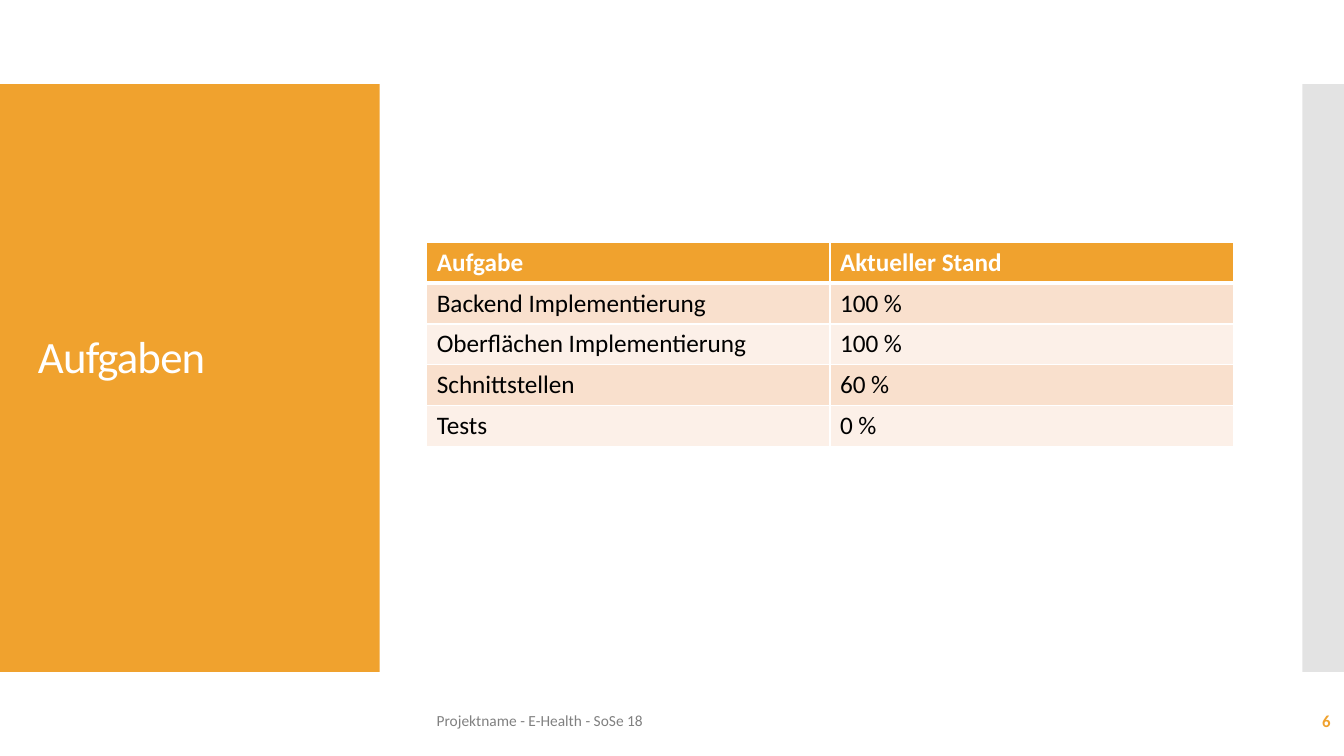
from dataclasses import dataclass
from lxml import etree
from pptx import Presentation
from pptx.dml.color import RGBColor
from pptx.enum.shapes import MSO_SHAPE
from pptx.enum.text import MSO_ANCHOR, PP_ALIGN
from pptx.oxml.ns import qn
from pptx.util import Pt

RECT = MSO_SHAPE.RECTANGLE
MIDDLE, BOTTOM = MSO_ANCHOR.MIDDLE, MSO_ANCHOR.BOTTOM
LEFT, RIGHT = PP_ALIGN.LEFT, PP_ALIGN.RIGHT


@dataclass(frozen=True)
class Theme:
    font: str = "Calibri"
    accent: str = "F0A22E"
    side: str = "C8C8C8"
    white: str = "FFFFFF"
    black: str = "000000"
    muted: str = "808080"
    bands: tuple = ("F9E0CD", "FCF0E8")
    title: int = 32
    body: int = 18
    number: int = 12
    footer: int = 11
    thin: int = 1
    thick: int = 3


class Page:
    def __init__(self, slide, theme):
        self.slide = slide
        self.theme = theme

    def style(self, para, size, color, bold=False):
        font = para.font
        font.name, font.size, font.bold = self.theme.font, Pt(size), bold
        font.color.rgb = RGBColor.from_string(color)

    def panel(self, box, color, alpha=100):
        shape = self.slide.shapes.add_shape(RECT, *map(Pt, box))
        shape.shadow.inherit = False
        shape.line.fill.background()
        shape.fill.solid()
        shape.fill.fore_color.rgb = RGBColor.from_string(color)
        if alpha < 100:
            tint = next(shape.fill._xPr.iter(qn("a:srgbClr")))
            etree.SubElement(tint, qn("a:alpha"), val=str(alpha * 1000))

    def text(self, box, words, size, color, bold=False, align=LEFT,
             anchor=MIDDLE, leading=1.0, tracking=0):
        frame = self.slide.shapes.add_textbox(*map(Pt, box)).text_frame
        frame.word_wrap = True
        frame.vertical_anchor = anchor
        para = frame.paragraphs[0]
        para.text = words
        para.alignment = align
        para.line_spacing = leading
        self.style(para, size, color, bold)
        if tracking:
            para.runs[0].font._element.set("spc", str(round(tracking * 100)))

    def border(self, cell, top, bottom):
        props = cell._tc.get_or_add_tcPr()
        thin = self.theme.thin
        sides = (("L", thin), ("R", thin), ("T", top), ("B", bottom))
        for place, (side, width) in enumerate(sides):
            line = etree.Element(qn("a:ln" + side), w=str(Pt(width)))
            fill = etree.SubElement(line, qn("a:solidFill"))
            etree.SubElement(fill, qn("a:srgbClr"), val=self.theme.white)
            props.insert(place, line)

    def table(self, box, rows):
        theme = self.theme
        grid = self.slide.shapes.add_table(
            len(rows), len(rows[0]), *map(Pt, box)).table
        grid.horz_banding = False
        for r, row in enumerate(rows):
            head = r == 0
            shade = theme.accent if head else theme.bands[(r - 1) % 2]
            for c, words in enumerate(row):
                cell = grid.cell(r, c)
                cell.text = words
                cell.fill.solid()
                cell.fill.fore_color.rgb = RGBColor.from_string(shade)
                color = theme.white if head else theme.black
                self.style(cell.text_frame.paragraphs[0], theme.body, color, head)
                self.border(cell, theme.thick if r == 1 else theme.thin,
                            theme.thick if head else theme.thin)


deck = Presentation()
deck.slide_width, deck.slide_height = Pt(960), Pt(540)
theme = Theme()
page = Page(deck.slides.add_slide(deck.slide_layouts[6]), theme)

page.panel((0, 60, 271.2, 420), theme.accent)
page.panel((930.2, 60, 29.8, 420), theme.side, alpha=50)
page.text((20, 90, 223, 187), "Aufgaben", theme.title, theme.white,
          anchor=BOTTOM, leading=0.9, tracking=-0.6)
page.table((304.8, 173, 576, 146), [
    ("Aufgabe", "Aktueller Stand"),
    ("Backend Implementierung", "100 %"),
    ("Oberflächen Implementierung", "100 %"),
    ("Schnittstellen", "60 %"),
    ("Tests", "0 %"),
])
page.text((304.8, 500.5, 465, 28.8), "Projektname - E-Health - SoSe 18",
          theme.footer, theme.muted)
page.text((837.5, 500.5, 120, 28.8), "6", theme.number, theme.accent,
          bold=True, align=RIGHT)

deck.save("out.pptx")
